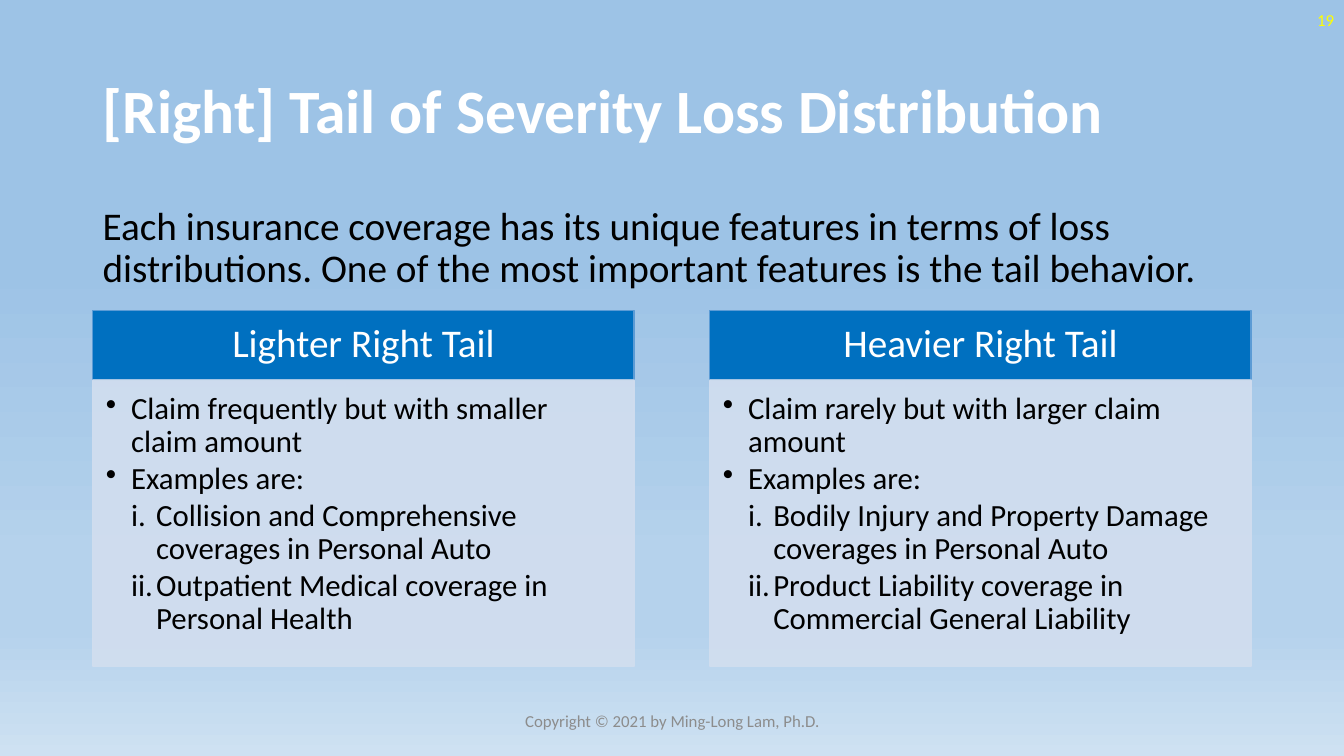
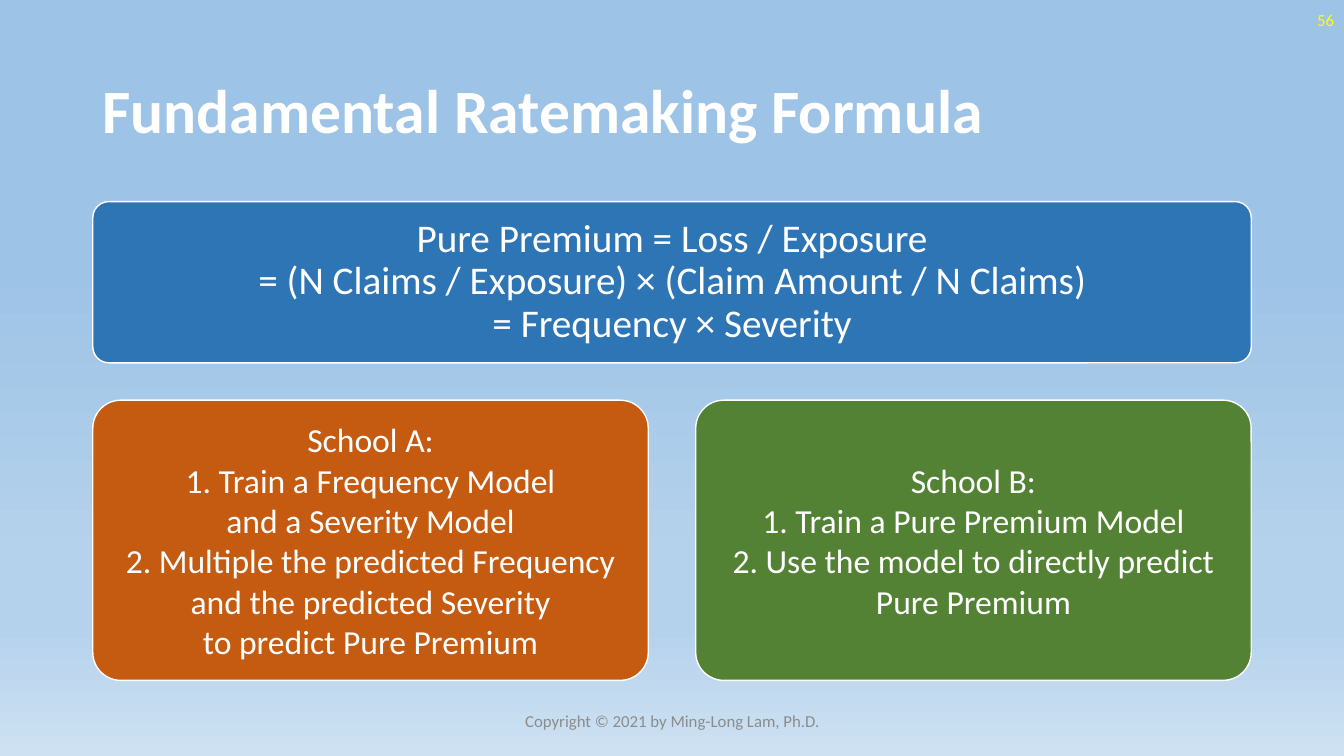
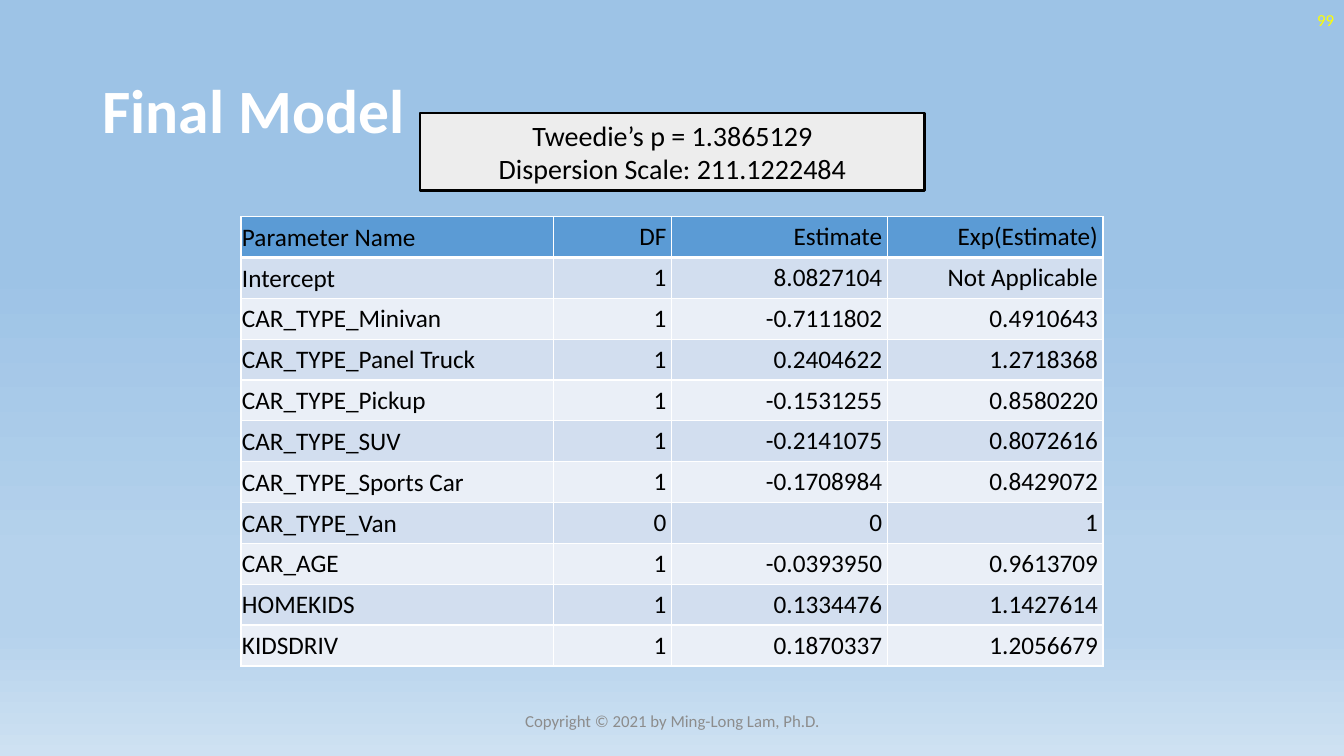
from dataclasses import dataclass

from lxml.etree import SubElement
from pptx import Presentation
from pptx.dml.color import RGBColor
from pptx.enum.shapes import MSO_SHAPE as Preset
from pptx.enum.text import MSO_ANCHOR as Anchor, PP_ALIGN as Align
from pptx.oxml.ns import qn
from pptx.util import Inches, Pt


@dataclass(frozen=True)
class Theme:
    font = "Calibri"
    white = "FFFFFF"
    black = "000000"
    page_number = "FFFF00"
    footer = "8C8C8C"
    header = "0070C0"
    accent = "5B9BD5"
    panel = "D2DEEF"
    band = "EAEFF7"
    callout = "EDEDED"
    formula = "2E75B6"
    background = ((35, "9DC3E6"), (74, "B5D2EC"), (83, "B5D2EC"), (100, "CEE1F2"))
    title_size = 44
    lead_size = 28
    school_size = 24
    bullet_size = 22
    callout_size = 20
    table_size = 18
    small_size = 12


THEME = Theme()
LEFT, CONTENT_WIDTH = 0.92, 11.49
FOOTER = "Copyright © 2021 by Ming-Long Lam, Ph.D."

TAIL_INTRO = (
    "Each insurance coverage has its unique features in terms of loss distributions. "
    "One of the most important features is the tail behavior."
)
TAILS = [
    ("Lighter Right Tail", [
        (1, "Claim frequently but with smaller claim amount"),
        (1, "Examples are:"),
        (2, "Collision and Comprehensive coverages in Personal Auto"),
        (2, "Outpatient Medical coverage in Personal Health"),
    ]),
    ("Heavier Right Tail", [
        (1, "Claim rarely but with larger claim amount"),
        (1, "Examples are:"),
        (2, "Bodily Injury and Property Damage coverages in Personal Auto"),
        (2, "Product Liability coverage in Commercial General Liability"),
    ]),
]

FORMULA = (
    "Pure Premium = Loss / Exposure\n"
    "= (N Claims / Exposure) × (Claim Amount / N Claims)\n"
    "= Frequency × Severity"
)
SCHOOLS = [
    ("C55A11", [
        "School A:\n1. Train a Frequency Model\nand a Severity Model",
        "2. Multiple the predicted Frequency and the predicted Severity\n"
        "to predict Pure Premium",
    ]),
    ("548235", [
        "School B:",
        "1. Train a Pure Premium Model",
        "2. Use the model to directly predict Pure Premium",
    ]),
]

MODEL_SUMMARY = ["Tweedie’s p = 1.3865129", "Dispersion Scale: 211.1222484"]
COLUMN_WIDTHS = (3.1, 1.17, 2.14, 2.14)
ROW_HEIGHT = 4.46 / 11
PARAMETERS = [
    ("Parameter Name", "DF", "Estimate", "Exp(Estimate)"),
    ("Intercept", "1", "8.0827104", "Not Applicable"),
    ("CAR_TYPE_Minivan", "1", "-0.7111802", "0.4910643"),
    ("CAR_TYPE_Panel Truck", "1", "0.2404622", "1.2718368"),
    ("CAR_TYPE_Pickup", "1", "-0.1531255", "0.8580220"),
    ("CAR_TYPE_SUV", "1", "-0.2141075", "0.8072616"),
    ("CAR_TYPE_Sports Car", "1", "-0.1708984", "0.8429072"),
    ("CAR_TYPE_Van", "0", "0", "1"),
    ("CAR_AGE", "1", "-0.0393950", "0.9613709"),
    ("HOMEKIDS", "1", "0.1334476", "1.1427614"),
    ("KIDSDRIV", "1", "0.1870337", "1.2056679"),
]


def rgb(color):
    return RGBColor.from_string(color)


def set_margins(target, margins):
    left, top, right, bottom = map(Inches, margins)
    target.margin_left, target.margin_top = left, top
    target.margin_right, target.margin_bottom = right, bottom


def style(paragraph, size, color, align=Align.LEFT, spacing=None, bold=False):
    paragraph.alignment = align
    paragraph.line_spacing = spacing
    font = paragraph.font
    font.name, font.size, font.bold = THEME.font, Pt(size), bold
    font.color.rgb = rgb(color)


def write(shape, texts, size, color, anchor=Anchor.MIDDLE,
          margins=(0.1, 0.05, 0.1, 0.05), **options):
    frame = shape.text_frame
    frame.word_wrap = True
    frame.vertical_anchor = anchor
    set_margins(frame, margins)
    for index, text in enumerate(texts):
        paragraph = frame.add_paragraph() if index else frame.paragraphs[0]
        paragraph.text = text
        style(paragraph, size, color, **options)


def add_text(slide, box, text, size, color, **options):
    shape = slide.shapes.add_textbox(*map(Inches, box))
    write(shape, [text], size, color, **options)


def add_box(slide, preset, box, fill, line, line_width=1):
    shape = slide.shapes.add_shape(preset, *map(Inches, box))
    shape.shadow.inherit = False
    shape.fill.solid()
    shape.fill.fore_color.rgb = rgb(fill)
    shape.line.color.rgb = rgb(line)
    shape.line.width = Pt(line_width)
    return shape


def add_rounded_box(slide, box, fill):
    shape = add_box(slide, Preset.ROUNDED_RECTANGLE, box, fill, THEME.white)
    shape.adjustments[0] = 0.1
    return shape


def set_opacity(shape, percent):
    for color in shape._element.spPr.iter(qn("a:srgbClr")):
        SubElement(color, qn("a:alpha"), val=str(percent * 1000))


def pair_lefts(width):
    return LEFT, LEFT + CONTENT_WIDTH - width


def set_background(master):
    fill = master.background.fill
    fill.gradient()
    fill.gradient_angle = 270
    stops = next(master.element.iter(qn("a:gsLst")))
    for stop in list(stops):
        stops.remove(stop)
    for position, color in THEME.background:
        stop = SubElement(stops, qn("a:gs"), pos=str(position * 1000))
        SubElement(stop, qn("a:srgbClr"), val=color)


def add_slide(presentation, title, number):
    slide = presentation.slides.add_slide(presentation.slide_layouts[6])
    add_text(slide, (LEFT, 0.4, 11.5, 1.45), title, THEME.title_size, THEME.white,
             spacing=0.9, bold=True)
    add_text(slide, (10.33, 0, 3, 0.4), str(number), THEME.small_size,
             THEME.page_number, align=Align.RIGHT)
    add_text(slide, (4.42, 6.95, 4.5, 0.4), FOOTER, THEME.small_size,
             THEME.footer, align=Align.CENTER)
    return slide


def add_bullets(shape, items):
    frame = shape.text_frame
    frame.word_wrap = True
    frame.vertical_anchor = Anchor.TOP
    set_margins(frame, (0.13, 0.13, 0.17, 0.19))
    for index, (level, text) in enumerate(items):
        paragraph = frame.add_paragraph() if index else frame.paragraphs[0]
        paragraph.text = text
        paragraph.level = level
        properties = paragraph._p.get_or_add_pPr()
        properties.set("marL", str(Inches(0.25 * level)))
        properties.set("indent", str(Inches(-0.25)))
        if level == 1:
            SubElement(properties, qn("a:buChar"), char="•")
        else:
            SubElement(properties, qn("a:buAutoNum"), type="romanLcPeriod")
        paragraph.space_after = Pt(2.5)
        style(paragraph, THEME.bullet_size, THEME.black, spacing=0.9)


def build_tails(presentation):
    slide = add_slide(presentation, "[Right] Tail of Severity Loss Distribution", 19)
    add_text(slide, (LEFT, 2, 11.5, 1), TAIL_INTRO, THEME.lead_size, THEME.black,
             anchor=Anchor.TOP, spacing=0.9)
    width, top, header_height = 5.37, 3.08, 0.69
    for left, (heading, items) in zip(pair_lefts(width), TAILS):
        header = add_box(slide, Preset.RECTANGLE, (left, top, width, header_height),
                         THEME.header, THEME.accent)
        write(header, [heading], THEME.lead_size, THEME.white,
              margins=(0.22, 0.12, 0.22, 0.12), align=Align.CENTER, spacing=0.9)
        panel = add_box(slide, Preset.RECTANGLE,
                        (left, top + header_height, width, 2.84),
                        THEME.panel, THEME.panel)
        set_opacity(panel, 90)
        add_bullets(panel, items)


def build_formula(presentation):
    slide = add_slide(presentation, "Fundamental Ratemaking Formula", 56)
    formula = add_rounded_box(slide, (LEFT, 2, CONTENT_WIDTH, 1.6), THEME.formula)
    write(formula, [FORMULA], THEME.lead_size, THEME.white, margins=(0.12,) * 4,
          align=Align.CENTER, spacing=0.9)
    width = 5.51
    for left, (color, texts) in zip(pair_lefts(width), SCHOOLS):
        school = add_rounded_box(slide, (left, 3.97, width, 2.78), color)
        write(school, texts, THEME.school_size, THEME.white, margins=(0.1,) * 4,
              align=Align.CENTER)


def set_borders(cell, row):
    properties = cell._tc.get_or_add_tcPr()
    widths = {"L": 1, "R": 1, "T": 3 if row == 1 else 1, "B": 3 if row == 0 else 1}
    for side, width in widths.items():
        line = SubElement(properties, qn(f"a:ln{side}"), w=str(Pt(width)))
        fill = SubElement(line, qn("a:solidFill"))
        SubElement(fill, qn("a:srgbClr"), val=THEME.white)


def fill_cell(cell, text, row, column):
    set_borders(cell, row)
    cell.fill.solid()
    band = THEME.panel if row % 2 else THEME.band
    cell.fill.fore_color.rgb = rgb(band if row else THEME.accent)
    cell.vertical_anchor = Anchor.MIDDLE
    set_margins(cell, (0.05,) * 4 if column else (0.01, 0.01, 0.01, 0))
    paragraph = cell.text_frame.paragraphs[0]
    paragraph.text = text
    style(paragraph, THEME.table_size, THEME.black,
          align=Align.RIGHT if column else Align.LEFT)


def build_model(presentation):
    slide = add_slide(presentation, "Final Model", 99)
    box = (2.39, 2.15, sum(COLUMN_WIDTHS), ROW_HEIGHT * len(PARAMETERS))
    table = slide.shapes.add_table(len(PARAMETERS), len(COLUMN_WIDTHS),
                                   *map(Inches, box)).table
    table.first_row = table.horz_banding = False
    for column, width in zip(table.columns, COLUMN_WIDTHS):
        column.width = Inches(width)
    for row, values in enumerate(PARAMETERS):
        table.rows[row].height = Inches(ROW_HEIGHT)
        for column, text in enumerate(values):
            fill_cell(table.cell(row, column), text, row, column)
    summary = add_box(slide, Preset.RECTANGLE, (4.17, 1.12, 5, 0.77),
                      THEME.callout, THEME.black, 1.5)
    write(summary, MODEL_SUMMARY, THEME.callout_size, THEME.black, align=Align.CENTER)


def main():
    presentation = Presentation()
    presentation.slide_width = Inches(13.33)
    presentation.slide_height = Inches(7.5)
    set_background(presentation.slide_master)
    build_tails(presentation)
    build_formula(presentation)
    build_model(presentation)
    presentation.save("out.pptx")


if __name__ == "__main__":
    main()
